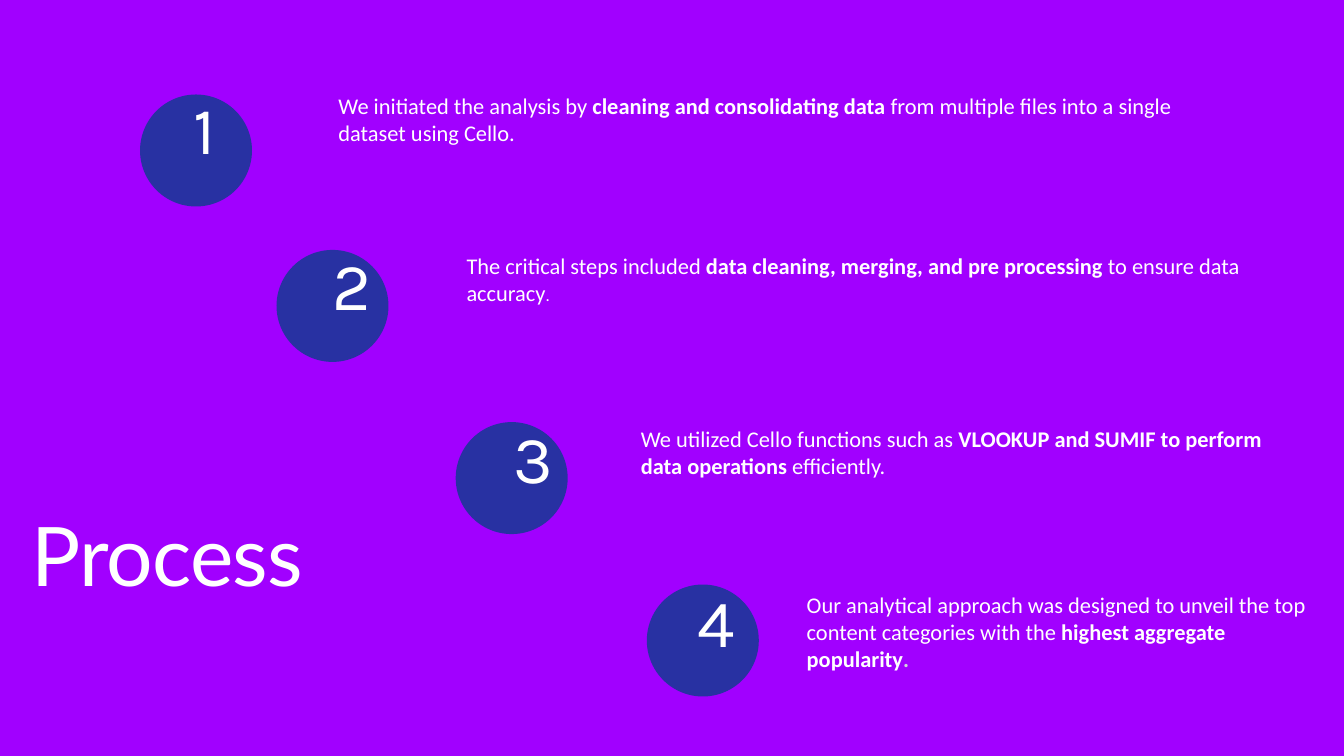
"""Build the four-step Process slide with numbered circles along a diagonal."""
from dataclasses import dataclass

from pptx import Presentation
from pptx.dml.color import RGBColor as RGB
from pptx.enum.shapes import MSO_SHAPE as SHAPE
from pptx.enum.text import PP_ALIGN as ALIGN
from pptx.util import Emu, Pt


@dataclass(frozen=True)
class Theme:
    back: RGB = RGB(0xA1, 0x00, 0xFF)
    circle: RGB = RGB(0x28, 0x31, 0xA2)
    text: RGB = RGB(0xFF, 0xFF, 0xFF)
    muted: RGB = RGB(0xD1, 0xD5, 0xDB)
    title_size: float = 88
    title_line: float = 96
    number_size: float = 71.9
    body_size: float = 24
    small_size: float = 18


T = Theme()


def px(*values):
    return [Emu(v * 9525) for v in values]


def add_text(box, runs, font, size, line=None, spc=None):
    tf = s.shapes.add_textbox(*px(*box)).text_frame
    tf.word_wrap = True
    p = tf.paragraphs[0]
    p.font.name, p.font.size, p.font.color.rgb = font, Pt(size), T.text
    if line:
        tf.margin_left = tf.margin_top = tf.margin_right = tf.margin_bottom = 0
        p.line_spacing = Pt(line)
    for text, bold in runs:
        r = p.add_run()
        r.text = text
        if bold:
            r.font.bold = True
        if spc:
            r._r.get_or_add_rPr().set("spc", str(spc))
    return p


prs = Presentation()
prs.slide_width, prs.slide_height = px(1920, 1080)
s = prs.slides.add_slide(prs.slide_layouts[6])
s.background.fill.solid()
s.background.fill.fore_color.rgb = T.back

steps = [
    ((200, 135), (276, 144), (474, 127, 1245, 87), [
        ("We initiated the analysis by ", False),
        ("cleaning and consolidating data ", True),
        ("from multiple files into a single dataset using Cello.", False)]),
    ((395, 357), (475, 367), (657, 356, 1197, 87), [
        ("The critical steps included ", False),
        ("data cleaning, merging, and pre processing ", True),
        ("to ensure data accuracy", False), (".", False)]),
    ((651, 603), (733, 614), (906, 603, 908, 87), [
        ("We utilized Cello functions such as ", False),
        ("VLOOKUP and SUMIF to perform data operations", True),
        (" efficiently.", False)]),
    ((924, 835), (997, 849), (1143, 840, 756, 126), [
        ("Our analytical approach was designed to unveil the top "
         "content categories with the ", False),
        ("highest aggregate popularity", True), (".", True)]),
]

for circle, _, _, _ in steps:
    sp = s.shapes.add_shape(SHAPE.OVAL, *px(*circle, 160, 160))
    sp.shadow.inherit = False
    sp.fill.solid()
    sp.fill.fore_color.rgb = T.circle
    sp.line.fill.background()

p = add_text((20, 733, 413, 130), [("Process", False)], "Lato", T.title_size, T.title_line, -80)
p.alignment = ALIGN.RIGHT

bodies = []
for n, (_, number, body, runs) in enumerate(steps, 1):
    add_text((*number, 129, 100), [(str(n), False)], "Karla", T.number_size, T.number_size, -640)
    bodies.append(add_text(body, runs, "Calibri", T.body_size))

bodies[1].runs[-1].font.size = Pt(T.small_size)
bodies[3].runs[-1].font.color.rgb = T.muted

prs.save("out.pptx")
